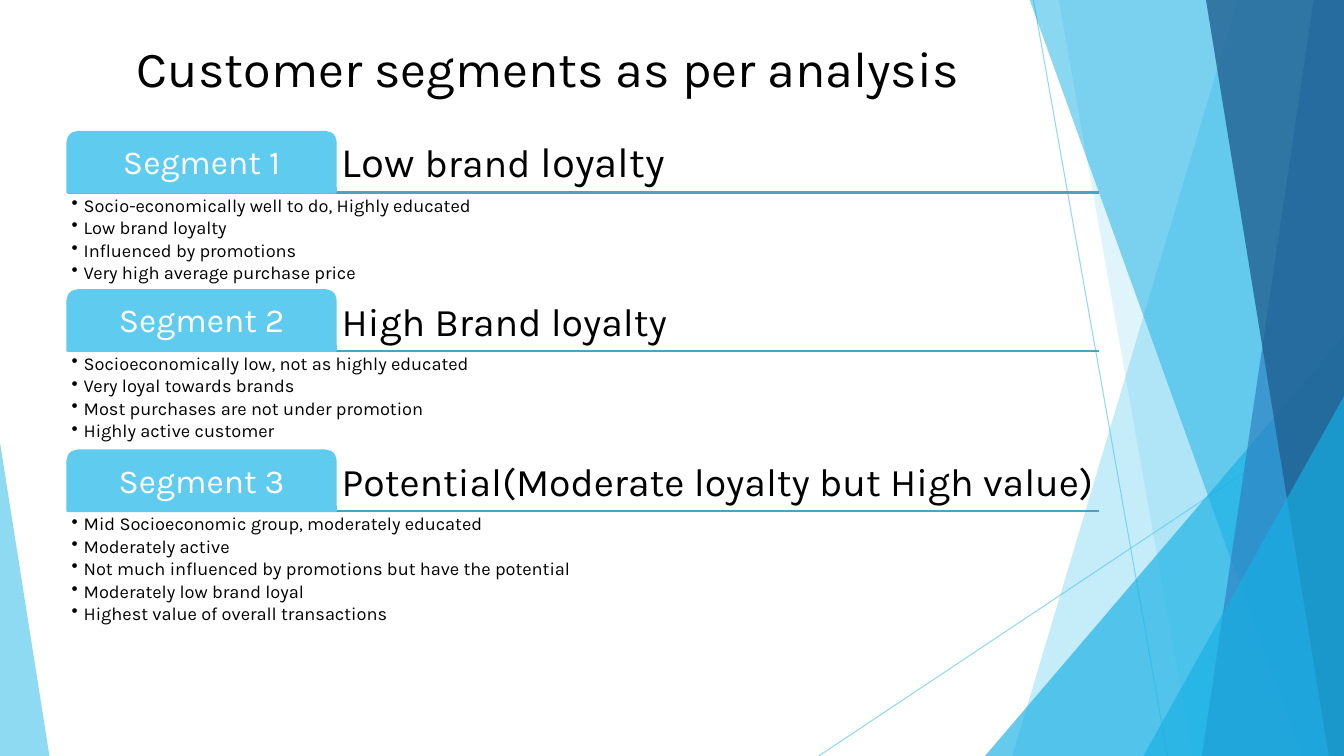
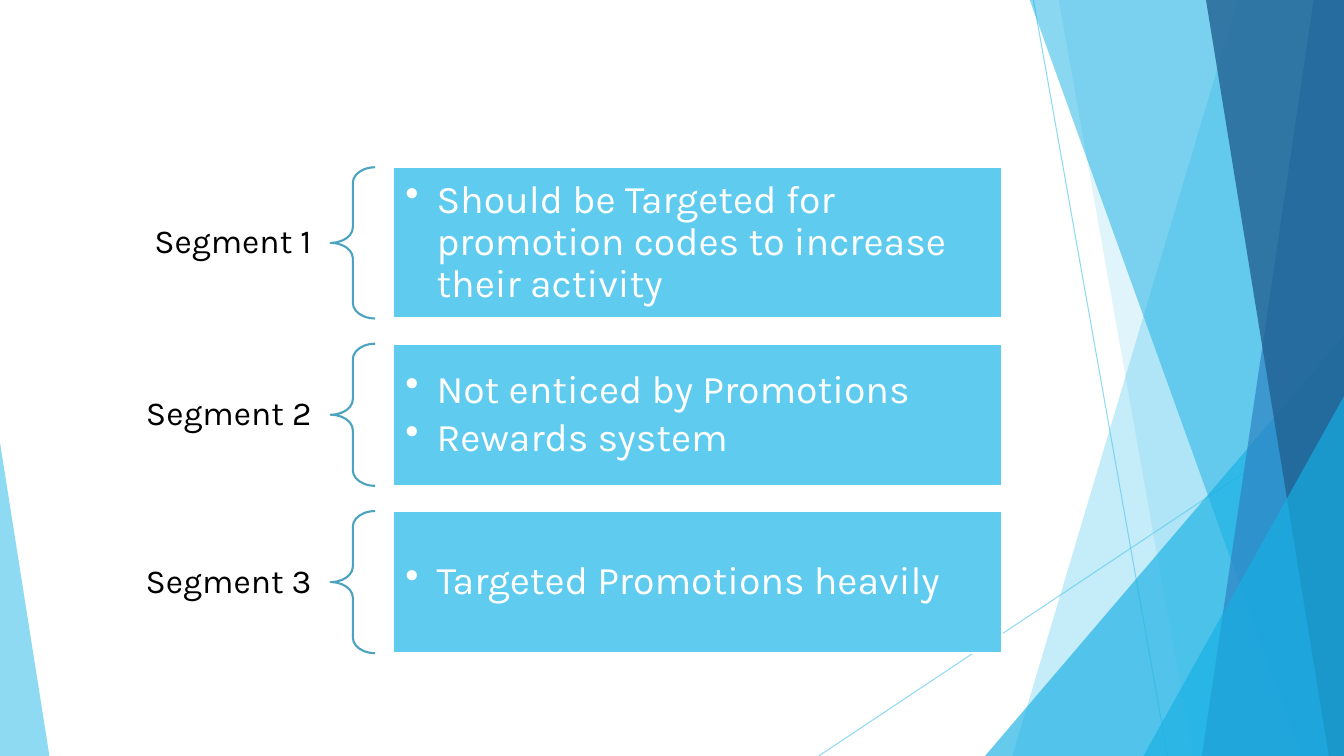
"""Build two slides on customer segments and how to target them."""
from lxml import etree
from pptx import Presentation
from pptx import util as u
from pptx.dml.color import RGBColor
from pptx.enum import shapes, text
from pptx.oxml import ns


class Theme:
    font = "Karla"
    black, white = "000000", "FFFFFF"
    sky, cyan, blue, navy, teal = "5FCBEF", "17B0E4", "2E83C3", "226292", "4CA3BF"
    title, big, head, label, body = 36, 30, 28, 24, 13
    hair, rule = 0.75, 1.5


WIDE, HIGH = 13.33, 7.5
KIND = shapes.MSO_SHAPE
LEFT, MID, RIGHT = text.PP_ALIGN.LEFT, text.PP_ALIGN.CENTER, text.PP_ALIGN.RIGHT


def paint(shape, fill=None, edge=None, width=Theme.rule, alpha=100):
    if fill:
        shape.fill.solid()
        shape.fill.fore_color.rgb = RGBColor.from_string(fill)
    elif hasattr(shape, "fill"):
        shape.fill.background()
    if edge:
        shape.line.color.rgb = RGBColor.from_string(edge)
        shape.line.width = u.Pt(width)
    else:
        shape.line.fill.background()
    if alpha < 100:
        for tint in shape.element.spPr.iter(ns.qn("a:srgbClr")):
            etree.SubElement(tint, ns.qn("a:alpha"), val=str(alpha * 1000))
    etree.SubElement(shape.element.spPr, ns.qn("a:effectLst"))


def write(shape, lines, size, color=Theme.black, align=LEFT, anchor=text.MSO_ANCHOR.MIDDLE,
          inset=(0.05, 0.05), after=0.35, leading=0.9, hang=0):
    frame = shape.text_frame
    frame.word_wrap = True
    frame.vertical_anchor = anchor
    frame.margin_left = frame.margin_right = u.Inches(inset[0])
    frame.margin_top = frame.margin_bottom = u.Inches(inset[1])
    for i, line in enumerate(lines):
        para = frame.add_paragraph() if i else frame.paragraphs[0]
        para.alignment = align
        para.line_spacing = leading
        para.space_after = u.Pt(size * after)
        for part in line.split("|"):
            run = para.add_run()
            run.text = part
            run.font.name = Theme.font
            run.font.size = u.Pt(size)
            run.font.color.rgb = RGBColor.from_string(color)
        if hang:
            props = para._p.get_or_add_pPr()
            props.set("marL", str(u.Inches(hang)))
            props.set("indent", str(-u.Inches(hang)))
            etree.SubElement(props, ns.qn("a:buChar"), char="•")


deck = Presentation()
deck.slide_width, deck.slide_height = u.Inches(WIDE), u.Inches(HIGH)
blank = deck.slide_layouts[6]
first = deck.slides.add_slide(blank)

decor = []
for ends in [(10.25, 0, 11.58, HIGH), (WIDE, 4.03, 8.12, HIGH)]:
    line = first.shapes.add_connector(shapes.MSO_CONNECTOR.STRAIGHT, *map(u.Inches, ends))
    paint(line, edge=Theme.sky, width=Theme.hair, alpha=70)
    decor.append(line)

facets = [
    (Theme.sky, 36, None, (12.28, 10.04)),
    (Theme.sky, 20, None, (10.5, 11.83)),
    (Theme.cyan, 66, 1, (9.77, 3.33, 3.56, 4.17)),
    (Theme.cyan, 50, None, (10.21, 12.91)),
    (Theme.blue, 70, None, (13.03, 11.92)),
    (Theme.navy, 80, None, (11.96, 13.18)),
    (Theme.cyan, 66, 1, (11.34, 3.93, 1.99, 3.57)),
    (Theme.sky, 70, 0, (0, 4.39, 0.49, 3.11)),
]
for color, alpha, tip, place in facets:
    if tip is None:
        top, foot = place
        edges = [(WIDE, -0.01), (WIDE, HIGH), (foot, HIGH)]
        form = first.shapes.build_freeform(u.Inches(top), u.Inches(-0.01))
        form.add_line_segments([(u.Inches(x), u.Inches(y)) for x, y in edges], close=True)
        facet = form.convert_to_shape()
    else:
        facet = first.shapes.add_shape(KIND.ISOSCELES_TRIANGLE, *map(u.Inches, place))
        facet.adjustments[0] = tip
    paint(facet, color, alpha=alpha)
    decor.append(facet)

for i, shape in enumerate(decor):
    shape.element.xpath(".//p:cNvPr")[0].set("id", str(100 + i))
    deck.slide_master.shapes.element.append(shape.element)

title = first.shapes.add_textbox(*map(u.Inches, (1.26, 0.32, 8.97, 0.71)))
write(title, ["Customer segments as per analysis"], Theme.title, anchor=text.MSO_ANCHOR.TOP,
      inset=(0.1, 0.05), after=0, leading=1)

groups = [
    ("Segment 1", "Low |brand| loyalty", 0.94, [
        "Socio-economically well to do, Highly educated",
        "Low brand loyalty",
        "Influenced by promotions",
        "Very high average purchase price"]),
    ("Segment 2", "High Brand loyalty", 0.96, [
        "Socioeconomically low, not as highly educated",
        "Very loyal towards brands",
        "Most purchases are not under promotion",
        "Highly active customer"]),
    ("Segment 3", "Potential(Moderate loyalty but High value)", 1.2, [
        "Mid Socioeconomic group, moderately educated",
        "Moderately active",
        "Not much influenced by promotions but have the potential",
        "Moderately low brand loyal",
        "Highest value of overall transactions"]),
]
left, tab, span, bar = 0.67, 2.66, 10.23, 0.6
top = 1.31
for name, claim, tall, points in groups:
    base = top + bar
    rule = first.shapes.add_connector(
        shapes.MSO_CONNECTOR.STRAIGHT, *map(u.Inches, (left, base, left + span, base)))
    paint(rule, edge=Theme.teal)

    head = first.shapes.add_textbox(*map(u.Inches, (left + tab, top, span - tab, bar)))
    write(head, [claim], Theme.head, anchor=text.MSO_ANCHOR.BOTTOM, inset=(0.06, 0.06))
    if "|" in claim:
        for run in head.text_frame.paragraphs[0].runs[::2]:
            run.font.size = u.Pt(Theme.big)

    badge = first.shapes.add_shape(
        KIND.ROUND_2_SAME_RECTANGLE, *map(u.Inches, (left, top, tab, bar)))
    paint(badge, Theme.sky, Theme.sky)
    write(badge, [name], Theme.label, Theme.white, MID)

    notes = first.shapes.add_textbox(*map(u.Inches, (left, base, span, tall)))
    write(notes, points, Theme.body, anchor=text.MSO_ANCHOR.TOP, inset=(0.04, 0.04),
          after=0.15, hang=0.12)
    top = base + tall + 0.03

second = deck.slides.add_slide(blank)
plans = [
    ("Segment 1", 1.5, ["Should be Targeted for promotion codes to increase their activity"]),
    ("Segment 2", 1.41, ["Not enticed by Promotions", "Rewards system"]),
    ("Segment 3", 1.41, ["Targeted Promotions heavily"]),
]
top = 1.66
for name, tall, points in plans:
    label = second.shapes.add_textbox(*map(u.Inches, (1.06, top, 2.22, tall)))
    write(label, [name], Theme.label, align=RIGHT, inset=(0.19, 0.07))

    brace = second.shapes.add_shape(KIND.LEFT_BRACE, *map(u.Inches, (3.28, top, 0.44, tall)))
    brace.adjustments[0], brace.adjustments[1] = 0.35, 0.5
    paint(brace, edge=Theme.teal)

    card = second.shapes.add_shape(KIND.RECTANGLE, *map(u.Inches, (3.9, top, 6.04, tall)))
    paint(card, Theme.sky, Theme.white)
    write(card, points, Theme.head, Theme.white, inset=(0.12, 0.12), after=0.15, hang=0.31)
    top += tall + 0.25

deck.save("out.pptx")
